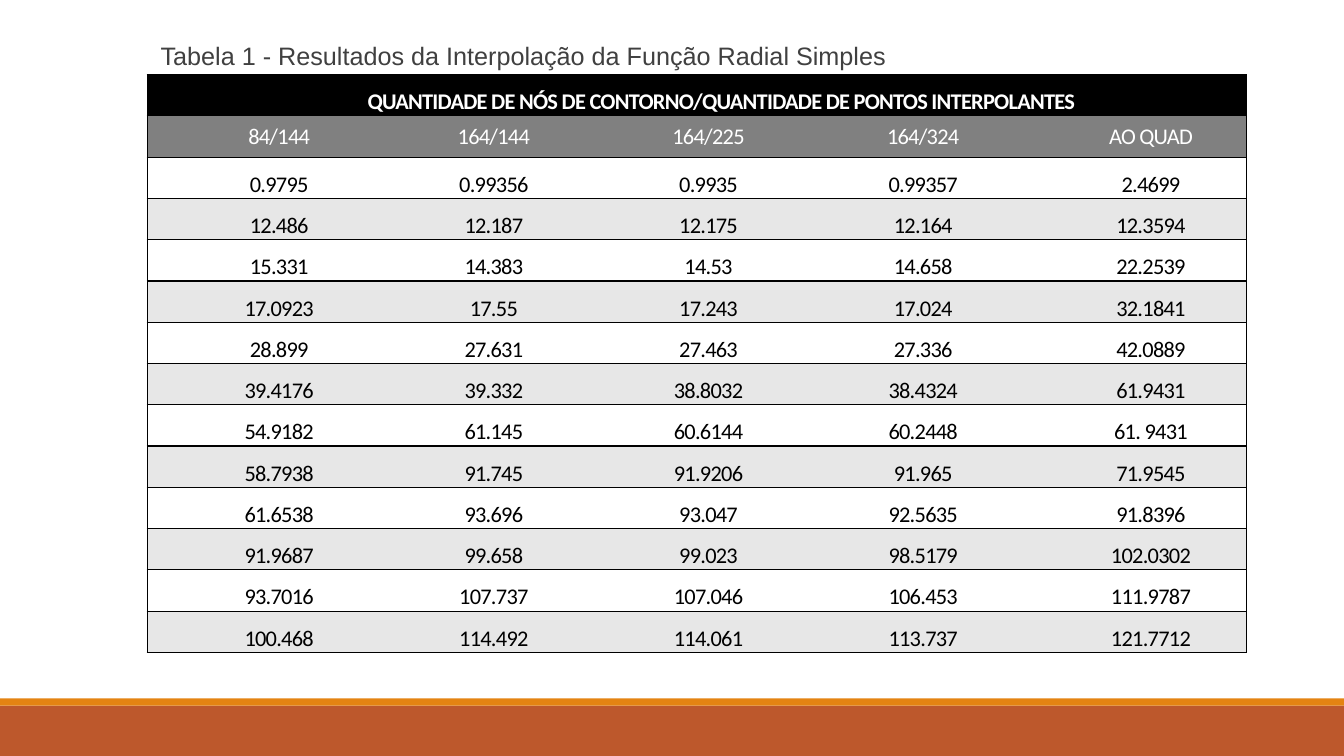
from dataclasses import dataclass

from lxml import etree
from pptx import Presentation
from pptx import util as u
from pptx.dml.color import RGBColor
from pptx.enum import shapes, text
from pptx.oxml import ns
from pptx.slide import Slide
from pptx.table import _Cell
from pptx.text.text import TextFrame, _Paragraph

COLOURS = {
    "brick": "BD582C",
    "orange": "E48312",
    "caption": "404040",
    "black": "000000",
    "white": "FFFFFF",
    "grey": "808080",
    "band": "E7E7E7",
}
PLAIN_TABLE_STYLE = "{2D5ABB26-0587-4C30-8999-92F81FD0307C}"
ROW_HEIGHT = 1.04
COLUMN_WIDTHS = [5.41] * 4 + [6.07]
TITLE = "QUANTIDADE DE NÓS DE CONTORNO/QUANTIDADE DE PONTOS INTERPOLANTES"
HEADINGS = ["84/144", "164/144", "164/225", "164/324", "AO QUAD"]
RESULTS = [
    ["0.9795", "0.99356", "0.9935", "0.99357", "2.4699"],
    ["12.486", "12.187", "12.175", "12.164", "12.3594"],
    ["15.331", "14.383", "14.53", "14.658", "22.2539"],
    ["17.0923", "17.55", "17.243", "17.024", "32.1841"],
    ["28.899", "27.631", "27.463", "27.336", "42.0889"],
    ["39.4176", "39.332", "38.8032", "38.4324", "61.9431"],
    ["54.9182", "61.145", "60.6144", "60.2448", "61. 9431"],
    ["58.7938", "91.745", "91.9206", "91.965", "71.9545"],
    ["61.6538", "93.696", "93.047", "92.5635", "91.8396"],
    ["91.9687", "99.658", "99.023", "98.5179", "102.0302"],
    ["93.7016", "107.737", "107.046", "106.453", "111.9787"],
    ["100.468", "114.492", "114.061", "113.737", "121.7712"],
]


@dataclass
class Bar:
    top: float
    height: float
    colour: str


@dataclass
class RowStyle:
    fill: str
    colour: str = "black"
    bold: bool = False
    line_spacing: float = 1.5
    anchor: text.MSO_ANCHOR = text.MSO_ANCHOR.TOP


BARS = [Bar(17.78, 1.27, "brick"), Bar(17.6, 0.18, "orange")]
MIDDLE = text.MSO_ANCHOR.MIDDLE
TITLE_STYLE = RowStyle("black", "white", bold=True, anchor=MIDDLE)
HEADING_STYLE = RowStyle("grey", "white", line_spacing=1.0, anchor=MIDDLE)
RESULT_STYLES = [RowStyle("white"), RowStyle("band")]


def rgb(name: str) -> RGBColor:
    return RGBColor.from_string(COLOURS[name])


def add_colour(parent: etree._Element, name: str) -> None:
    etree.SubElement(parent, ns.qn("a:srgbClr"), val=COLOURS[name])


def write(frame: TextFrame, words: str, *, font: str, size: float, colour: str,
          align: text.PP_ALIGN, line_spacing: float, after: float, before: float = 0,
          margin: float = 0, indent: float = 0, bold: bool = False,
          tracking: float = 0) -> _Paragraph:
    para = frame.paragraphs[0]
    para.alignment = align
    para.line_spacing = line_spacing
    para.space_before = u.Pt(before)
    para.space_after = u.Pt(after)
    properties = para._p.get_or_add_pPr()
    properties.set("marL", str(u.Cm(margin)))
    properties.set("indent", str(u.Cm(indent)))
    span = para.add_run()
    span.text = words
    span.font.name = font
    span.font.size = u.Pt(size)
    span.font.bold = bold
    span.font.color.rgb = rgb(colour)
    if tracking:
        span._r.get_or_add_rPr().set("spc", str(round(tracking * 100)))
    return para


def add_bar(page: Slide, bar: Bar, width: int) -> None:
    shape = page.shapes.add_shape(
        shapes.MSO_SHAPE.RECTANGLE, 0, u.Cm(bar.top), width, u.Cm(bar.height))
    shape.shadow.inherit = False
    shape.fill.solid()
    shape.fill.fore_color.rgb = rgb(bar.colour)
    shape.line.fill.background()


def add_caption(page: Slide) -> None:
    box = page.shapes.add_textbox(u.Cm(3.48), u.Cm(0.99), u.Cm(27.94), u.Cm(16.46))
    box.text_frame.word_wrap = True
    para = write(box.text_frame,
                 "Tabela 1 - Resultados da Interpolação da Função Radial Simples",
                 font="Arial", size=18, colour="caption", align=text.PP_ALIGN.JUSTIFY,
                 line_spacing=0.9, before=12, after=2, margin=0.25, indent=-0.25)
    properties = para._p.get_or_add_pPr()
    add_colour(etree.SubElement(properties, ns.qn("a:buClr")), "orange")
    etree.SubElement(properties, ns.qn("a:buChar"), char=" ")


def draw_borders(cell: _Cell, sides: str) -> None:
    properties = cell._tc.get_or_add_tcPr()
    for position, side in enumerate(sides):
        line = etree.Element(ns.qn(f"a:ln{side}"), w=str(u.Pt(1)))
        add_colour(etree.SubElement(line, ns.qn("a:solidFill")), "black")
        properties.insert(position, line)


def fill_cell(cell: _Cell, words: str, style: RowStyle, sides: str) -> None:
    cell.margin_left = cell.margin_right = u.Cm(0.18)
    cell.margin_top = cell.margin_bottom = 0
    cell.vertical_anchor = style.anchor
    cell.fill.solid()
    cell.fill.fore_color.rgb = rgb(style.fill)
    draw_borders(cell, sides)
    if words:
        write(cell.text_frame, words, font="Calibri", size=16, colour=style.colour,
              align=text.PP_ALIGN.CENTER, line_spacing=style.line_spacing, after=8,
              indent=1.24, bold=style.bold, tracking=-0.5)


def add_results(page: Slide) -> None:
    rows = [([TITLE, "", "", "", ""], TITLE_STYLE), (HEADINGS, HEADING_STYLE)]
    rows += [(values, RESULT_STYLES[index % 2]) for index, values in enumerate(RESULTS)]
    frame = page.shapes.add_table(
        len(rows), len(COLUMN_WIDTHS), u.Cm(3.71), u.Cm(1.88),
        u.Cm(sum(COLUMN_WIDTHS)), u.Cm(ROW_HEIGHT * len(rows)))
    table = frame.table
    table.first_row = table.horz_banding = False
    table._tbl.tblPr.find(ns.qn("a:tableStyleId")).text = PLAIN_TABLE_STYLE
    for column, width in zip(table.columns, COLUMN_WIDTHS):
        column.width = u.Cm(width)
    table.cell(0, 0).merge(table.cell(0, len(COLUMN_WIDTHS) - 1))
    last = len(COLUMN_WIDTHS) - 1
    for row, (values, style) in enumerate(rows):
        table.rows[row].height = u.Cm(ROW_HEIGHT)
        for column, words in enumerate(values):
            left = "L" if column == 0 else ""
            right = "R" if column == last or row == column == 0 else ""
            fill_cell(table.cell(row, column), words, style, left + right + "TB")


def main() -> None:
    deck = Presentation()
    deck.slide_width, deck.slide_height = u.Cm(33.87), u.Cm(19.05)
    page = deck.slides.add_slide(deck.slide_layouts[6])
    for bar in BARS:
        add_bar(page, bar, deck.slide_width)
    add_caption(page)
    add_results(page)
    deck.save("out.pptx")


if __name__ == "__main__":
    main()
